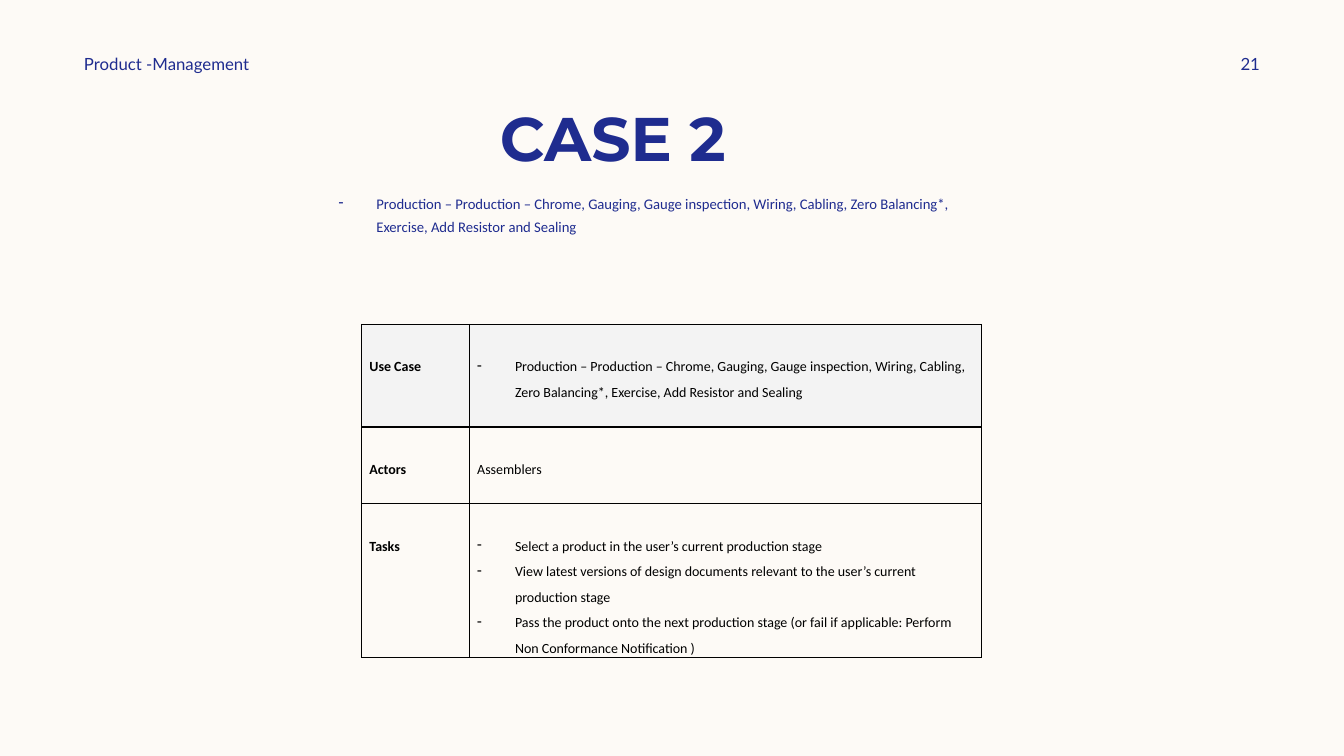
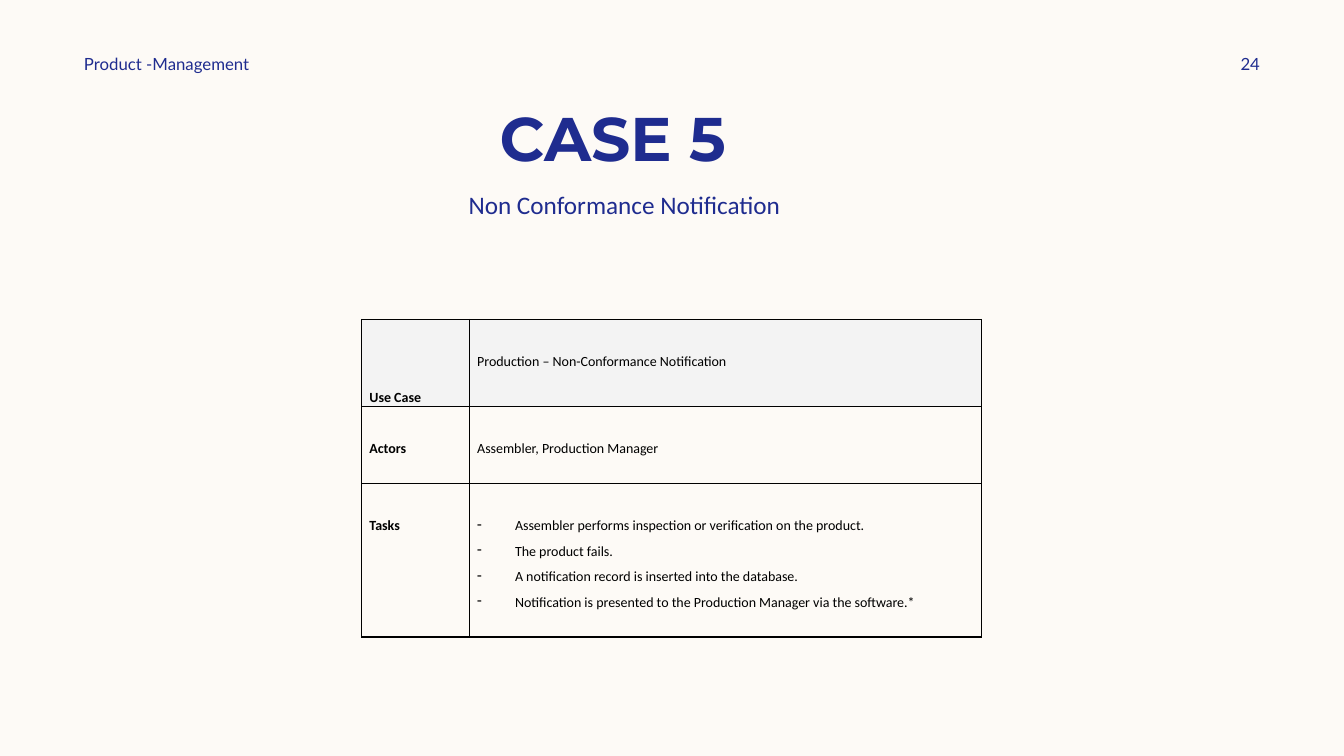
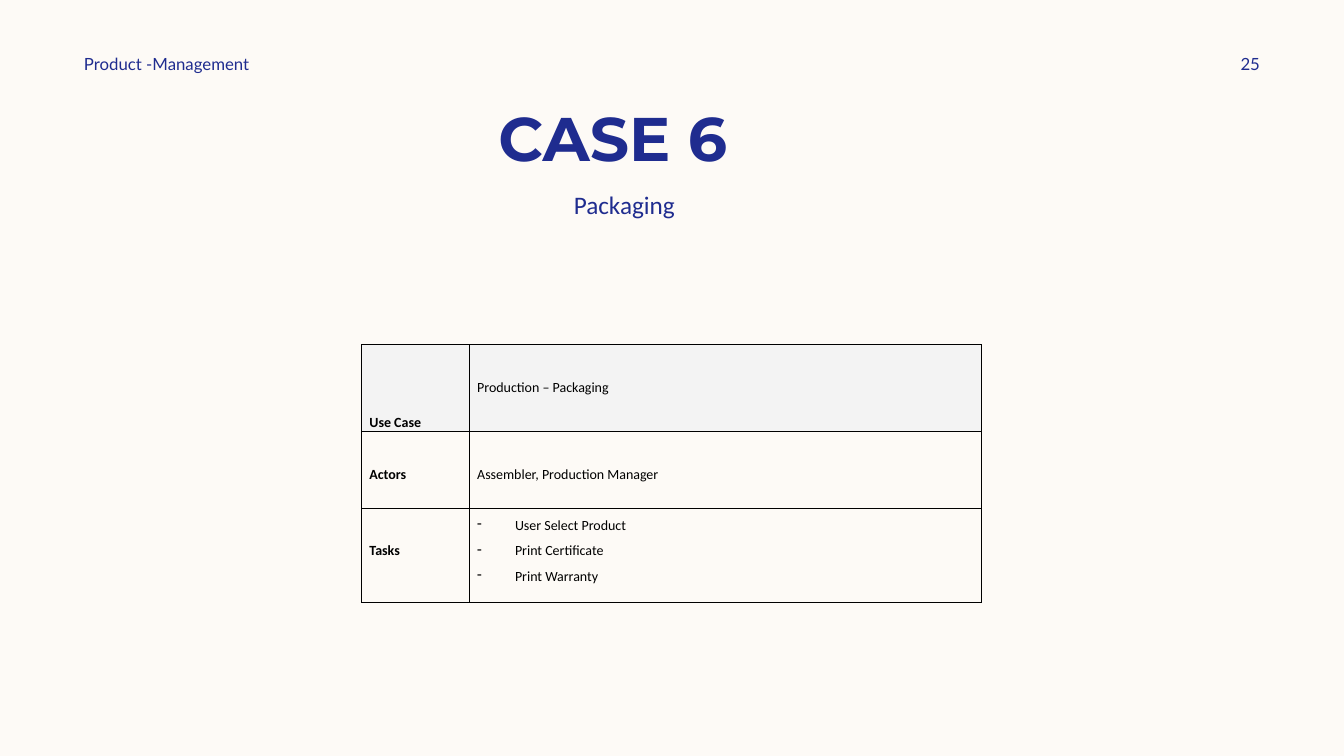
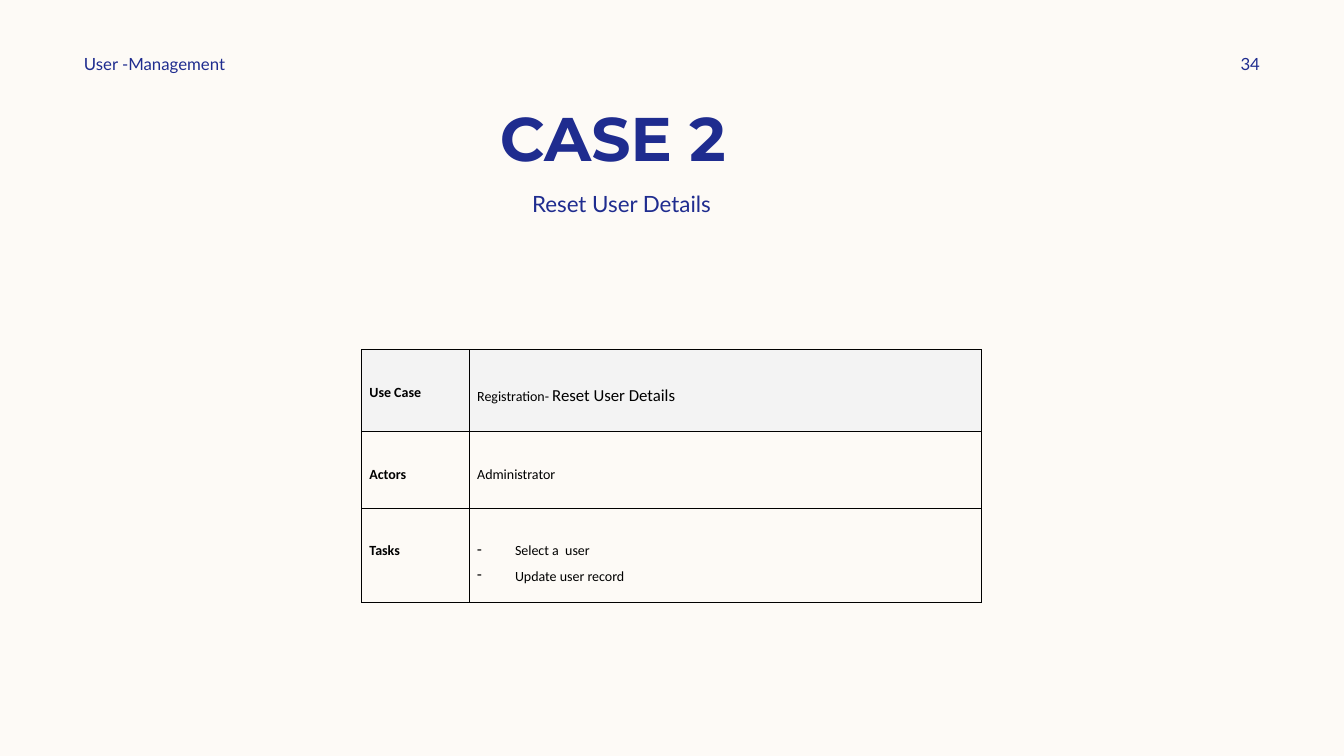
from lxml import etree
from pptx import Presentation
from pptx.dml.color import RGBColor
from pptx.enum import text as t
from pptx.oxml import ns
from pptx.util import Pt

INK = {"page": "FDFAF6", "navy": "1F2C8F", "black": "000000", "gray": "F3F3F3"}
LINE = 18.3
STEPS = "Production – Production – Chrome, Gauging, Gauge inspection, Wiring, Cabling, Zero Balancing*, Exercise, Add Resistor and Sealing"
LEFT, MID, RIGHT = t.PP_ALIGN.LEFT, t.PP_ALIGN.CENTER, t.PP_ALIGN.RIGHT


def color(name):
    """Return the named colour."""
    return RGBColor.from_string(INK[name])


def add_run(para, words, size, font="Calibri", ink="navy", bold=False):
    """Add one styled run to a paragraph."""
    run = para.add_run()
    run.text = words
    run.font.size, run.font.name, run.font.bold = Pt(size), font, bold
    run.font.color.rgb = color(ink)


def add_dash(para):
    """Give a paragraph a hanging dash."""
    props = para._p.get_or_add_pPr()
    props.set("marL", str(Pt(27)))
    props.set("indent", str(Pt(-27)))
    etree.SubElement(props, ns.qn("a:buChar")).set("char", "-")


def set_place(shape, left, top, width, height):
    """Move and size a shape."""
    shape.left, shape.top = Pt(left), Pt(top)
    shape.width, shape.height = Pt(width), Pt(height)


def add_box(slide, left, top, width, height):
    """Add a wrapping text box and return its frame."""
    frame = slide.shapes.add_textbox(Pt(left), Pt(top), Pt(width), Pt(height)).text_frame
    frame.word_wrap = True
    return frame


def add_label(slide, words, left, width, align):
    """Add a label to the top band."""
    frame = add_box(slide, left, 36, width, 19.2)
    frame.vertical_anchor = t.MSO_ANCHOR.MIDDLE
    frame.margin_left = frame.margin_right = 0
    para = frame.paragraphs[0]
    para.alignment = align
    add_run(para, words, 12, "Lato")


def add_title(slide, words):
    """Place and fill the title."""
    title = slide.shapes.title
    set_place(title, 60, 60, 768, 67.6)
    frame = title.text_frame
    frame.auto_size = t.MSO_AUTO_SIZE.NONE
    frame.vertical_anchor = t.MSO_ANCHOR.BOTTOM
    para = frame.paragraphs[0]
    para.alignment = MID
    add_run(para, words, 44, "Montserrat", bold=True)


def add_lead(slide, words, size, font):
    """Add the line below the title, dashed when it is small."""
    dash = size < 12
    para = add_box(slide, 234.8, 132, 486 if dash else 418.4, 41 if dash else 34.6).paragraphs[0]
    if dash:
        para.line_spacing = 1.3
        add_dash(para)
    else:
        para.alignment, para.space_before = MID, Pt(3.6)
    add_run(para, words, size, font)


def add_edges(cell):
    """Draw a thin black border round a cell."""
    props = cell._tc.get_or_add_tcPr()
    for spot, side in enumerate(("lnL", "lnR", "lnT", "lnB")):
        edge = etree.Element(ns.qn("a:" + side), w=str(Pt(1)))
        fill = etree.SubElement(edge, ns.qn("a:solidFill"))
        etree.SubElement(fill, ns.qn("a:srgbClr")).set("val", INK["black"])
        props.insert(spot, edge)


def fill_cell(cell, lines, gap, shade, dash=False, bold=False):
    """Fill a cell with paragraphs, each a list of words and sizes."""
    cell.margin_left = cell.margin_right = Pt(5.4)
    cell.margin_top, cell.margin_bottom = Pt(gap), 0
    if shade:
        cell.fill.solid()
        cell.fill.fore_color.rgb = color("gray")
    else:
        cell.fill.background()
    add_edges(cell)
    frame = cell.text_frame
    for spot, runs in enumerate(lines):
        para = frame.add_paragraph() if spot else frame.paragraphs[0]
        para.line_spacing = 1.5
        if dash:
            add_dash(para)
        for words, size in runs:
            add_run(para, words, size, ink="black", bold=bold)


def add_grid(slide, top, highs, use, actor, tasks, head=LINE, first=LINE):
    """Add the table of use case, actors and tasks."""
    grid = slide.shapes.add_table(3, 2, Pt(258.5), Pt(top), Pt(442.8), Pt(sum(highs))).table
    grid.first_row = grid.horz_banding = False
    grid.columns[0].width, grid.columns[1].width = Pt(77), Pt(365.8)
    rows = (
        ("Use Case", [use], head, LINE, use[0][0] == STEPS),
        ("Actors", [[(actor, 10)]], LINE, LINE, False),
        ("Tasks", [[(task, 10)] for task in tasks], LINE, first, True),
    )
    for spot, (name, lines, lgap, rgap, dash) in enumerate(rows):
        grid.rows[spot].height = Pt(highs[spot])
        shade = spot == 0
        fill_cell(grid.cell(spot, 0), [[(name, 10)]], lgap, shade, bold=True)
        fill_cell(grid.cell(spot, 1), lines, rgap, shade, dash)


def add_case(deck, area, page, title, lead):
    """Add a slide with its band, title and lead."""
    slide = deck.slides.add_slide(deck.slide_layouts[5])
    add_title(slide, title)
    add_label(slide, area, 60, 252, LEFT)
    add_label(slide, page, 822, 78, RIGHT)
    add_lead(slide, *lead)
    return slide


def main():
    """Build the deck."""
    deck = Presentation()
    deck.slide_width, deck.slide_height = Pt(960), Pt(540)
    back = deck.slide_master.background.fill
    back.solid()
    back.fore_color.rgb = color("page")

    slide = add_case(deck, "Product -Management", "21", "CASE 2 ", (STEPS, 10.5, "Calibri"))
    add_grid(slide, 231.8, (4 * LINE, 3 * LINE, 6 * LINE), [(STEPS, 10)], "Assemblers", (
        "Select a product in the user’s current production stage",
        "View latest versions of design documents relevant to the user’s current production stage",
        "Pass the product onto the next production stage (or fail if applicable: Perform Non Conformance Notification )",
    ))

    slide = add_case(deck, "Product -Management", "24", "CASE 5 ", (" Non Conformance Notification", 18, "Calibri"))
    add_grid(slide, 228.2, (62.2, 3 * LINE, 6 * LINE), [("Production – Non-Conformance Notification", 10)], "Assembler, Production Manager", (
        "Assembler performs inspection or verification on the product.",
        "The product fails.",
        "A notification record is inserted into the database.",
        "Notification is presented to the Production Manager via the software.*",
    ), head=43.9)

    slide = add_case(deck, "Product -Management", "25", "CASE 6 ", (" Packaging", 18, "Calibri"))
    add_grid(slide, 246.2, (62.2, 3 * LINE, 67), [("Production – Packaging", 10)], "Assembler, Production Manager", (
        "User Select Product", "Print Certificate", "Print Warranty",
    ), head=43.9, first=0)

    slide = add_case(deck, "User -Management", "34", "CASE 2 ", ("Reset User Details", 16, "Lato"))
    add_grid(slide, 249.8, (58.6, 3 * LINE, 67), [("Registration- ", 10), ("Reset User Details", 12)], "Administrator", (
        "Select a  user", "Update user record",
    ))
    deck.save("out.pptx")


if __name__ == "__main__":
    main()
